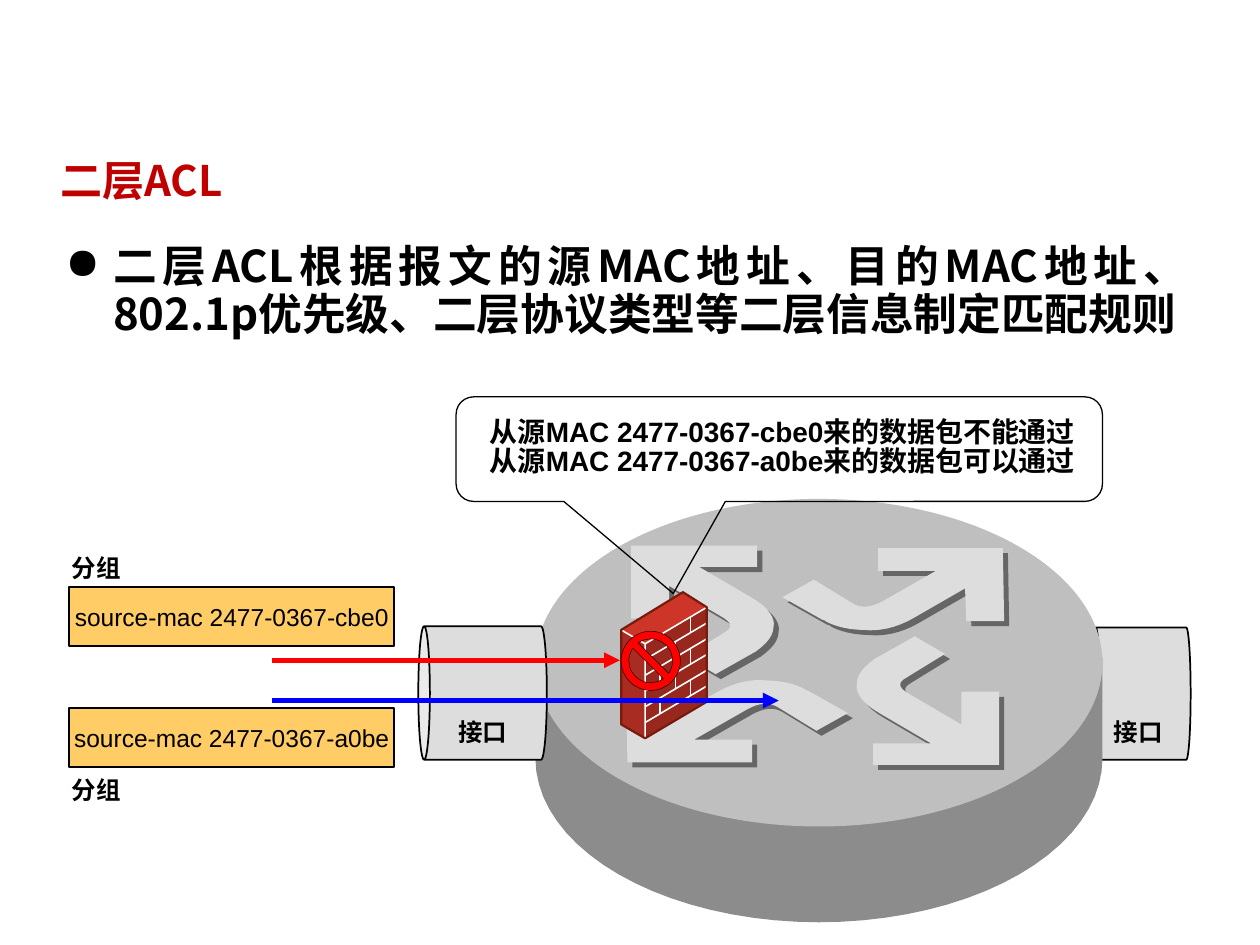
"""Build the slide that explains layer 2 ACL matching by source MAC address."""
from math import cos, pi, sin

from lxml.etree import SubElement
from pptx import Presentation
from pptx.dml.color import RGBColor
from pptx.enum.shapes import MSO_CONNECTOR, MSO_SHAPE
from pptx.enum.text import MSO_ANCHOR, PP_ALIGN
from pptx.oxml.ns import qn
from pptx.util import Inches, Pt


def paint(shape, fill=None, line=None, width=1):
    shape.shadow.inherit = False
    if fill:
        shape.fill.solid()
        shape.fill.fore_color.rgb = RGBColor.from_string(fill)
    else:
        shape.fill.background()
    if line:
        shape.line.color.rgb = RGBColor.from_string(line)
        shape.line.width = Pt(width)
    else:
        shape.line.fill.background()


def write(shape, lines, size, font, color="000000", bold=True, align=PP_ALIGN.LEFT,
          anchor=MSO_ANCHOR.TOP, wrap=False, spacing=None):
    frame = shape.text_frame
    frame.word_wrap = wrap
    frame.vertical_anchor = anchor
    for number, line in enumerate(lines):
        para = frame.add_paragraph() if number else frame.paragraphs[0]
        para.text = line
        para.alignment = align
        para.line_spacing = spacing
        para.font.size = Pt(size)
        para.font.bold = bold
        para.font.name = font
        para.font.color.rgb = RGBColor.from_string(color)
        properties = para._p.get_or_add_pPr().find(qn("a:defRPr"))
        east = font if "CJK" in font else "Noto Sans CJK SC"
        SubElement(properties, qn("a:ea")).set("typeface", east)
    return frame


deck = Presentation()
deck.slide_width, deck.slide_height = Inches(10), Inches(7.5)
page = deck.slides.add_slide(deck.slide_layouts[6])
shapes = page.shapes

title = shapes.add_textbox(Inches(0.38), Inches(1.09), Inches(7.92), Inches(0.67))
write(title, ["二层ACL"], 24, "Noto Sans CJK JP", "C00000", anchor=MSO_ANCHOR.MIDDLE, wrap=True)

body = shapes.add_textbox(Inches(0.42), Inches(1.89), Inches(9.1), Inches(1.02))
frame = write(body, ["二层ACL根据报文的源MAC地址、目的MAC地址、802.1p优先级、二层协议类型等二层信息制定匹配规则"],
              25, "Noto Sans CJK SC", align=PP_ALIGN.JUSTIFY, wrap=True, spacing=0.91)
properties = frame.paragraphs[0]._p.get_or_add_pPr()
properties.set("marL", str(Inches(0.38)))
properties.set("indent", str(-Inches(0.38)))
bullet = properties.makeelement(qn("a:buChar"), {"char": "●"})
properties.find(qn("a:defRPr")).addprevious(bullet)

# outlines are listed from back to front
outlines = []
rim = [(6.5 + 2.25 * cos(pi * step / 40), 6.02 + 1.3 * sin(pi * step / 40)) for step in range(41)]
router_side = [(8.75, 5.22), *rim, (4.25, 5.22)]

corner_arrow = [
    (5.44, 5.21), (5.75, 5.02), (5.82, 4.98, 5.81, 4.94, 5.72, 4.89), (5.31, 4.65), (5.31, 4.91),
    (5.01, 4.91), (5.01, 4.33), (6.01, 4.33), (6.01, 4.5), (5.55, 4.5), (5.96, 4.74),
    (6.12, 4.83, 6.15, 4.92, 6.14, 4.97), (6.14, 5.08, 6.02, 5.15, 6, 5.17), (5.68, 5.35)]
side_arrow = [
    (6.53, 4.92), (6.21, 4.74), (6.46, 4.6), (6.77, 4.79), (6.84, 4.83, 6.92, 4.82, 7.01, 4.77),
    (7.43, 4.53), (6.97, 4.53), (6.97, 4.35), (7.96, 4.35), (7.97, 4.93), (7.67, 4.93),
    (7.66, 4.67), (7.26, 4.9), (7.11, 4.99, 6.96, 5.01, 6.87, 5), (6.68, 5, 6.56, 4.94, 6.54, 4.92)]
arrows = []
for pattern in (side_arrow, corner_arrow):
    points = []
    for step in pattern:
        if len(step) == 2:
            points.append(step)
            continue
        x0, y0 = points[-1]
        x1, y1, x2, y2, x3, y3 = step
        for t in [part / 8 for part in range(1, 9)]:
            a, b, c, d = (1 - t) ** 3, 3 * t * (1 - t) ** 2, 3 * t * t * (1 - t), t ** 3
            points.append((a * x0 + b * x1 + c * x2 + d * x3, a * y0 + b * y1 + c * y2 + d * y3))
    arrows += [points, [(12.94 - x, 10.4 - y) for x, y in points]]

left, top_back, right, front = (4.93, 5), (5.42, 4.7), (5.61, 4.82), (5.12, 5.11)
left_foot, front_foot, right_foot = (4.93, 5.75), (5.12, 5.86), (5.61, 5.57)
joints = [[left, front, front_foot]]
for row, columns in enumerate([(5.48,), (5.36,), (5.24, 5.48), (5.36,), (5.24, 5.48), ()]):
    drop = row * 0.125
    joints.append([(5.12, 5.11 + drop), (5.61, 4.82 + drop)])
    for x in columns:
        y = 5.11 + drop - (x - 5.12) * 0.59
        joints.append([(x, y), (x, y + 0.125)])

shadows = [[(x + 0.04, y + 0.04) for x, y in points] for points in arrows]
outlines = [([router_side], "8C8C8C", None, 1)]
outlines += [([points], "666666", None, 1) for points in shadows]
outlines += [([points], "DDDDDD", None, 1) for points in arrows]
wall = [
    ([[left, front, front_foot, left_foot]], "A92C22", None, 1),
    ([[left, top_back, right, front]], "CD3529", None, 1),
    ([[front, right, right_foot, front_foot]], "98271D", None, 1),
    (joints, None, "FFFFFF", 0.9),
    ([[left, top_back, right, right_foot, front_foot, left_foot]], None, "771B0C", 1.25)]

cans = [(8.53, 5.11, 1.05, 0.79), (3.3, 4.99, 1.06, 1.02)]
for index, (contours, fill, line, width) in enumerate(outlines + wall):
    if index in (0, len(outlines)):
        x, y, w, h = cans.pop(0)
        can = shapes.add_shape(MSO_SHAPE.CAN, Inches(x), Inches(y), Inches(w), Inches(h))
        can.rotation = 270
        can.adjustments[0] = 0.09
        paint(can, "DDDDDD", "000000")
    if index == 1:
        disk = shapes.add_shape(MSO_SHAPE.OVAL, Inches(4.25), Inches(3.96), Inches(4.5), Inches(2.6))
        paint(disk, "BFBFBF")
    builder = None
    for contour in contours:
        (x, y), *rest = [(Inches(x), Inches(y)) for x, y in contour]
        if builder is None:
            builder = shapes.build_freeform(x, y)
        else:
            builder.move_to(x, y)
        builder.add_line_segments(rest, close=contours is not joints)
    paint(builder.convert_to_shape(), fill, line, width)

for label, x, y in [("接口", 3.54, 5.64), ("接口", 8.74, 5.64), ("分组", 0.47, 4.34), ("分组", 0.47, 6.1)]:
    box = shapes.add_textbox(Inches(x), Inches(y), Inches(0.59), Inches(0.33))
    write(box, [label], 14, "Times New Roman")

callout = shapes.add_shape(MSO_SHAPE.ROUNDED_RECTANGULAR_CALLOUT,
                           Inches(3.62), Inches(3.15), Inches(5.13), Inches(0.83))
for index, value in enumerate([-0.164, 1.381, 0.167]):
    callout.adjustments[index] = value
paint(callout, None, "000000", 0.75)
rules = shapes.add_textbox(Inches(3.52), Inches(3.2), Inches(5.38), Inches(0.72))
frame = write(rules, ["从源MAC 2477-0367-cbe0来的数据包不能通过", "从源MAC 2477-0367-a0be来的数据包可以通过"],
              16, "Arial", align=PP_ALIGN.CENTER, anchor=MSO_ANCHOR.MIDDLE, wrap=True, spacing=0.84)
frame.margin_left = frame.margin_right = frame.margin_top = frame.margin_bottom = 0

for end, y, color in [(4.92, 5.24, "FF0000"), (6.18, 5.56, "0000FF")]:
    flow = shapes.add_connector(MSO_CONNECTOR.STRAIGHT, Inches(2.16), Inches(y), Inches(end), Inches(y))
    flow.line.color.rgb = RGBColor.from_string(color)
    flow.line.width = Pt(3)
    SubElement(flow.line._get_or_add_ln(), qn("a:tailEnd")).set("type", "triangle")
    SubElement(flow._element.spPr, qn("a:effectLst"))

for address, y in [("cbe0", 4.66), ("a0be", 5.62)]:
    packet = shapes.add_shape(MSO_SHAPE.RECTANGLE, Inches(0.55), Inches(y), Inches(2.58), Inches(0.47))
    paint(packet, "FFCC66", "000000")
    write(packet, [f"source-mac 2477-0367-{address}"], 14, "Arial", bold=False,
          align=PP_ALIGN.CENTER, anchor=MSO_ANCHOR.MIDDLE)

blocked = shapes.add_shape(MSO_SHAPE.NO_SYMBOL, Inches(4.93), Inches(5.01), Inches(0.47), Inches(0.47))
blocked.adjustments[0] = 0.13
paint(blocked, "FF0000", "000000", 0.25)

deck.save("out.pptx")
